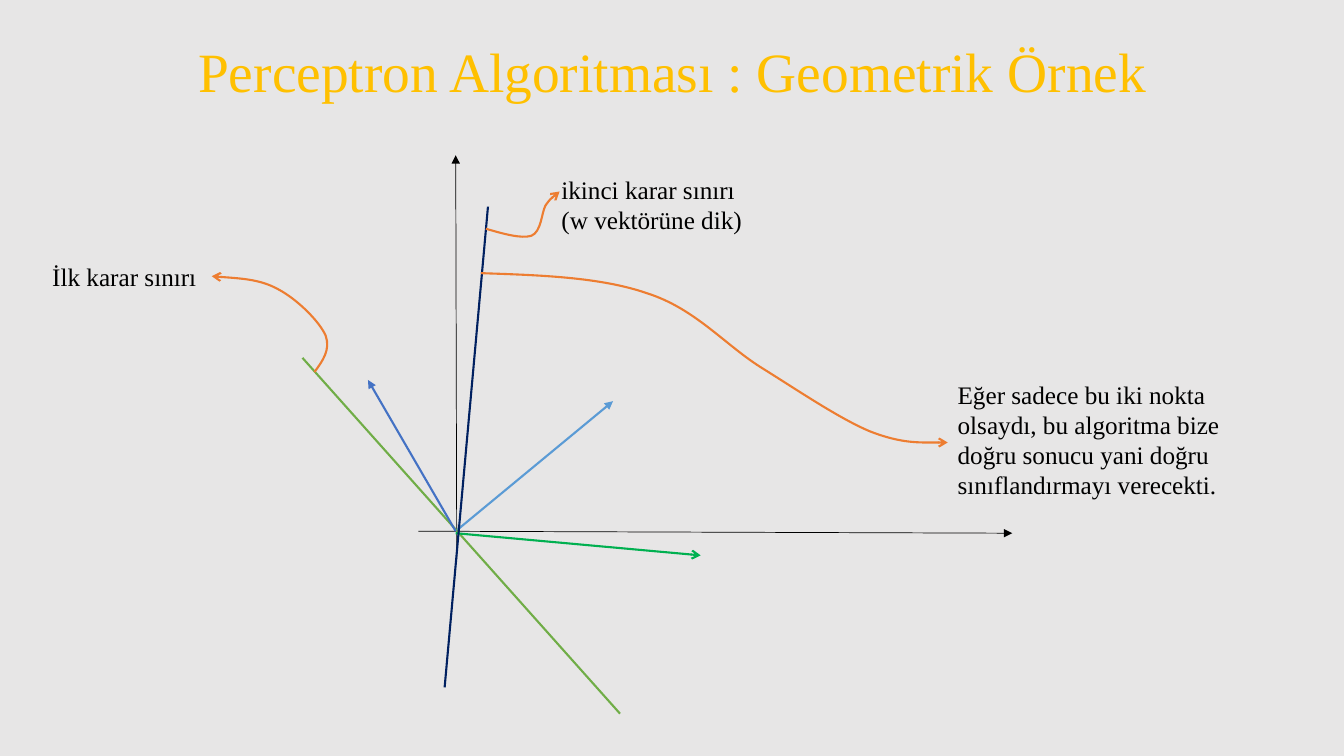
from lxml import etree
from pptx import Presentation
from pptx import util as u
from pptx.dml.color import RGBColor
from pptx.enum import shapes, text
from pptx.oxml import ns

FONT = "Times New Roman"
COLORS = {
    "background": "E7E6E6", "title": "FFC000", "ink": "000000",
    "light blue": "5B9BD5", "blue": "4472C4", "green": "00B050",
    "first boundary": "70AD47", "second boundary": "002060", "callout": "ED7D31",
}
# Ends are offsets in inches from the crossing of the axes: start, end, colour, width, arrowhead.
DIAGRAM_LINES = [
    ((0.01, 0.28), (0, -3.73), "ink", 0.5, "triangle"),
    ((-0.37, 0), (5.52, 0.02), "ink", 0.5, "triangle"),
    ((0, 0), (1.56, -1.29), "light blue", 1.5, "triangle"),
    ((-1.52, -1.72), (1.63, 1.81), "first boundary", 1.5, None),
    ((0, 0), (-0.87, -1.5), "blue", 1.5, "triangle"),
    ((0, 0.02), (2.43, 0.24), "green", 1.5, "arrow"),
    ((0.32, -3.22), (-0.11, 1.55), "second boundary", 1.5, None),
]
# Label box, label lines, and Bézier points as offsets from the label's top left corner.
CALLOUTS = [
    ((0.42, 2.54, 1.86, 0.4), ["İlk karar sınırı"],
     [(2.7, 1.15), (2.78, 1.04), (2.86, 0.93), (2.81, 0.79), (2.75, 0.65),
      (2.53, 0.43), (2.34, 0.33), (2.16, 0.23), (1.92, 0.22), (1.68, 0.2)]),
    ((5.47, 1.68, 2.17, 0.71), ["ikinci karar sınırı", "(w vektörüne dik)"],
     [(-0.65, 0.59), (-0.48, 0.64), (-0.3, 0.69), (-0.2, 0.66), (-0.1, 0.62),
      (-0.1, 0.44), (-0.06, 0.36), (-0.01, 0.29), (0.06, 0.23), (0.08, 0.22)]),
    ((9.4, 3.71, 3.43, 1.31),
     ["Eğer sadece bu iki nokta olsaydı, bu algoritma bize doğru sonucu yani "
      "doğru sınıflandırmayı verecekti."],
     [(-4.63, -1), (-4.04, -0.98), (-3.44, -0.96), (-2.98, -0.8), (-2.51, -0.65),
      (-2.22, -0.3), (-1.86, -0.07), (-1.49, 0.16), (-1.08, 0.44), (-0.77, 0.57),
      (-0.46, 0.69), (-0.23, 0.68), (0, 0.68)]),
]


def color(name):
    return RGBColor.from_string(COLORS[name])


def style_text(paragraph, size, color_name):
    for span in paragraph.runs:
        span.font.name = FONT
        span.font.size = u.Pt(size)
        span.font.color.rgb = color(color_name)


def style_line(shape, color_name, width, arrowhead):
    shape.line.color.rgb = color(color_name)
    shape.line.width = u.Pt(width)
    if arrowhead:
        outline = shape.line._get_or_add_ln()
        etree.SubElement(outline, ns.qn("a:tailEnd"), type=arrowhead)


def add_title(slide, box, wording):
    title = slide.shapes.title
    title.left, title.top, title.width, title.height = map(u.Inches, box)
    frame = title.text_frame
    frame.text = wording
    frame.auto_size = text.MSO_AUTO_SIZE.NONE
    frame.vertical_anchor = text.MSO_ANCHOR.MIDDLE
    para = frame.paragraphs[0]
    para.alignment = text.PP_ALIGN.CENTER
    para.line_spacing = 0.9
    style_text(para, 39.6, "title")


def add_diagram(slide, origin):
    x, y = origin
    for start, end, color_name, width, arrowhead in DIAGRAM_LINES:
        line = slide.shapes.add_connector(
            shapes.MSO_CONNECTOR.STRAIGHT,
            u.Inches(x + start[0]), u.Inches(y + start[1]),
            u.Inches(x + end[0]), u.Inches(y + end[1]))
        style_line(line, color_name, width, arrowhead)
        etree.SubElement(line._element.spPr, ns.qn("a:effectLst"))


def add_curve(slide, corner, points):
    """Draw an arrow through Bézier points given relative to the corner."""
    start, *rest = [(u.Inches(corner[0] + x), u.Inches(corner[1] + y)) for x, y in points]
    builder = slide.shapes.build_freeform(*start)
    builder.add_line_segments(rest, close=False)
    curve = builder.convert_to_shape()
    segments = list(curve._element.iter(ns.qn("a:lnTo")))
    outline = segments[0].getparent()
    for index in range(0, len(segments), 3):
        bezier = etree.SubElement(outline, ns.qn("a:cubicBezTo"))
        for segment in segments[index:index + 3]:
            bezier.append(segment[0])
            outline.remove(segment)
    curve.fill.background()
    curve.shadow.inherit = False
    style_line(curve, "callout", 1.5, "arrow")


def add_callout(slide, box, lines, points):
    add_curve(slide, box[:2], points)
    label = slide.shapes.add_textbox(*map(u.Inches, box))
    frame = label.text_frame
    frame.word_wrap = True
    frame.text = "\n".join(lines)
    for para in frame.paragraphs:
        style_text(para, 18, "ink")


def main():
    deck = Presentation()
    deck.slide_width, deck.slide_height = u.Inches(13.33), u.Inches(7.5)
    page = deck.slides.add_slide(deck.slide_layouts.get_by_name("Title Only"))
    page.background.fill.solid()
    page.background.fill.fore_color.rgb = color("background")
    add_title(page, (0.92, 0.4, 11.5, 0.67), "Perceptron Algoritması : Geometrik Örnek")
    add_diagram(page, (4.52, 5.27))
    for box, lines, points in CALLOUTS:
        add_callout(page, box, lines, points)
    deck.save("out.pptx")


if __name__ == "__main__":
    main()
